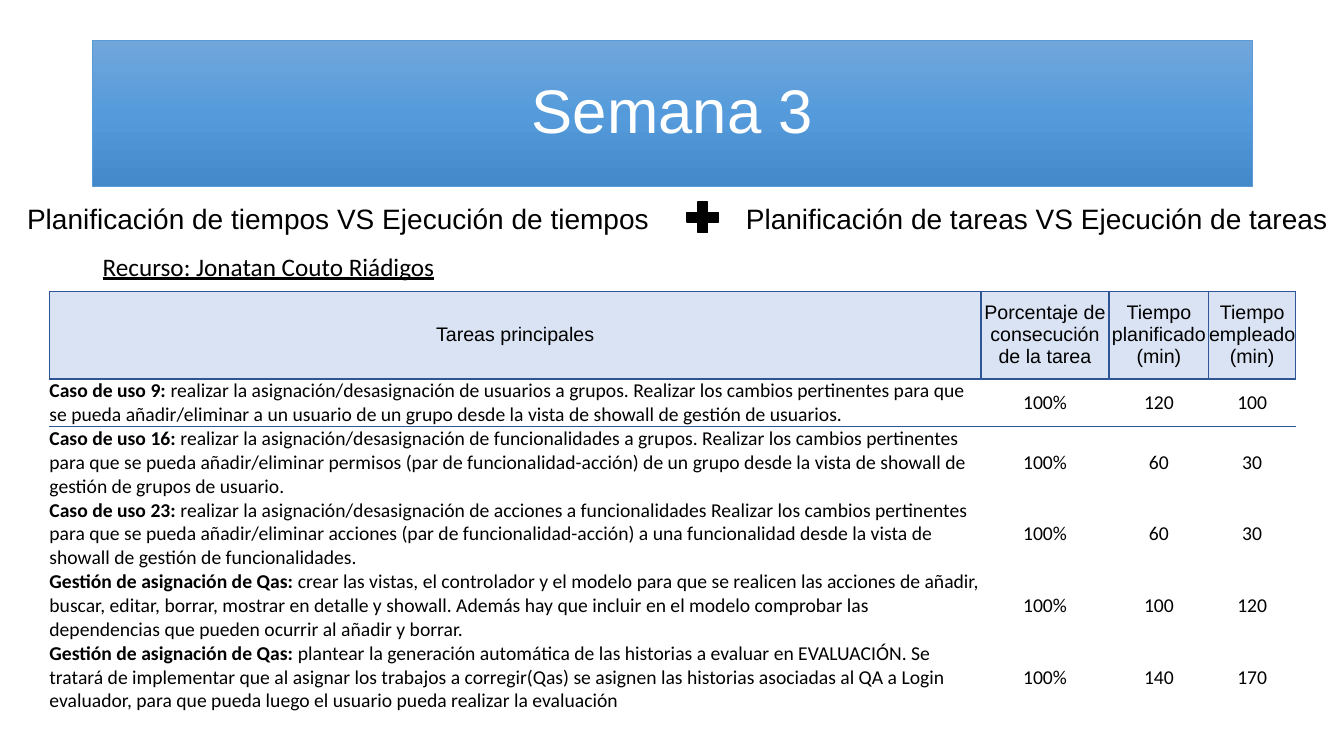
"""Build the week 3 slide comparing planned and actual times and tasks."""
from copy import deepcopy
from dataclasses import dataclass

from lxml import etree
from pptx import Presentation
from pptx.dml.color import RGBColor
from pptx.enum.shapes import MSO_SHAPE
from pptx.enum.text import MSO_ANCHOR, MSO_AUTO_SIZE, PP_ALIGN
from pptx.oxml.ns import qn
from pptx.util import Inches, Pt

PLUS = MSO_SHAPE.MATH_PLUS
MIDDLE = MSO_ANCHOR.MIDDLE
FIT, FIXED = MSO_AUTO_SIZE.SHAPE_TO_FIT_TEXT, MSO_AUTO_SIZE.NONE
LEFT, CENTER = PP_ALIGN.LEFT, PP_ALIGN.CENTER
BLACK, WHITE, NAVY, PALE, BLUE = "000000", "FFFFFF", "2F5597", "DAE3F3", "5B9BD5"
FADE = [(0, "71A6DB"), (0.5, "559BDB"), (1, "448ACA")]
NO_STYLE = "{2D5ABB26-0587-4C30-8999-92F81FD0307C}"
WIDTHS = [9.24, 1.27, 0.99, 0.86]
HEIGHTS = [0.87, 0.46] + [0.71] * 4
HEADS = ["Tareas principales", "Porcentaje de consecución de la tarea",
         "Tiempo planificado (min)", "Tiempo empleado (min)"]


@dataclass
class Label:
    """A line of text and its box in inches."""
    text: str
    left: float
    top: float
    width: float
    height: float
    size: float
    font: str
    under: bool = False


@dataclass
class Task:
    """A task with its planned and spent minutes."""
    lead: str
    text: str
    plan: int
    spent: int
    done: str = "100%"


LABELS = [
    Label("Recurso: Jonatan Couto Riádigos", 0.92, 2.44, 3.67, 0.4, 18, "Calibri", True),
    Label("Planificación de tareas VS Ejecución de tareas", 7.3, 1.95, 6.04, 0.44, 20, "Arial"),
    Label("Planificación de tiempos VS Ejecución de tiempos", 0.17, 1.95, 6.47, 0.44, 20, "Arial"),
]
TASKS = [
    Task("Caso de uso 9: ", "realizar la asignación/desasignación de usuarios a grupos. "
         "Realizar los cambios pertinentes para que se pueda añadir/eliminar a un usuario "
         "de un grupo desde la vista de showall de gestión de usuarios.", 120, 100),
    Task("Caso de uso 16: ", "realizar la asignación/desasignación de funcionalidades a "
         "grupos. Realizar los cambios pertinentes para que se pueda añadir/eliminar "
         "permisos (par de funcionalidad-acción) de un grupo desde la vista de showall de "
         "gestión de grupos de usuario.", 60, 30),
    Task("Caso de uso 23: ", "realizar la asignación/desasignación de acciones a "
         "funcionalidades Realizar los cambios pertinentes para que se pueda "
         "añadir/eliminar acciones (par de funcionalidad-acción) a una funcionalidad desde "
         "la vista de showall de gestión de funcionalidades.", 60, 30),
    Task("Gestión de asignación de Qas: ", "crear las vistas, el controlador y el modelo "
         "para que se realicen las acciones de añadir, buscar, editar, borrar, mostrar en "
         "detalle y showall. Además hay que incluir en el modelo comprobar las "
         "dependencias que pueden ocurrir al añadir y borrar.", 100, 120),
    Task("Gestión de asignación de Qas:", " plantear la generación automática de las "
         "historias a evaluar en EVALUACIÓN. Se tratará de implementar que al asignar los "
         "trabajos a corregir(Qas) se asignen las historias asociadas al QA a Login "
         "evaluador, para que pueda luego el usuario pueda realizar la evaluación", 140, 170),
]


def paint(code: str) -> RGBColor:
    """Turn a hex string into a colour."""
    return RGBColor.from_string(code)


def write(frame, text: str, size: float = 14, font: str = "Calibri", color: str = BLACK,
          bold: bool = False, under: bool = False, align=LEFT) -> None:
    """Add a formatted run to the first paragraph of a frame."""
    par = frame.paragraphs[0]
    par.alignment = align
    run = par.add_run()
    run.text = text
    face = run.font
    face.name, face.size, face.bold, face.underline = font, Pt(size), bold, under
    face.color.rgb = paint(color)


def place(shape, left: float, top: float, width: float, height: float) -> None:
    """Move and size a shape in inches."""
    shape.left, shape.top = Inches(left), Inches(top)
    shape.width, shape.height = Inches(width), Inches(height)


def add_title(slide) -> None:
    """Format the title as a banner with a gradient."""
    box = slide.shapes.title
    place(box, 0.92, 0.4, 11.5, 1.45)
    box.fill.gradient()
    box.fill.gradient_angle = 270
    first = box.element.find(".//" + qn("a:gs"))
    first.addnext(deepcopy(first))
    for stop, (pos, code) in zip(box.fill.gradient_stops, FADE):
        stop.position = pos
        stop.color.rgb = paint(code)
    box.line.color.rgb = paint(BLUE)
    box.line.width = Pt(0.5)
    frame = box.text_frame
    frame.auto_size, frame.vertical_anchor = FIXED, MIDDLE
    write(frame, "Semana 3", size=44, font="Arial", color=WHITE, align=CENTER)
    frame.paragraphs[0].line_spacing = 0.9


def add_label(slide, item: Label) -> None:
    """Draw a text label."""
    box = slide.shapes.add_textbox(0, 0, 0, 0)
    frame = box.text_frame
    frame.word_wrap, frame.auto_size = True, FIT
    place(box, item.left, item.top, item.width, item.height)
    write(frame, item.text, size=item.size, font=item.font, under=item.under)


def add_plus(slide) -> None:
    """Draw the plus sign between the two headings."""
    plus = slide.shapes.add_shape(PLUS, 0, 0, 0, 0)
    place(plus, 6.76, 1.95, 0.42, 0.41)
    plus.shadow.inherit = False
    plus.fill.solid()
    plus.fill.fore_color.rgb = paint(BLACK)
    plus.line.color.rgb = paint(BLACK)
    plus.line.width = Pt(1)


def edge(cell, sides: str) -> None:
    """Give a cell solid borders on the given sides."""
    props = cell._tc.get_or_add_tcPr()
    for side in sides:
        line = etree.SubElement(props, qn("a:ln" + side), w=str(Pt(1)))
        fill = etree.SubElement(line, qn("a:solidFill"))
        etree.SubElement(fill, qn("a:srgbClr"), val=NAVY)


def reset(cell):
    """Clear the margins of a cell and return its text frame."""
    cell.margin_left = cell.margin_right = cell.margin_top = cell.margin_bottom = 0
    cell.vertical_anchor = MIDDLE
    return cell.text_frame


def add_grid(slide) -> None:
    """Draw the table of tasks."""
    shape = slide.shapes.add_table(len(HEIGHTS), len(WIDTHS), Inches(0.49), Inches(2.89),
                                   Inches(sum(WIDTHS)), Inches(sum(HEIGHTS)))
    grid = shape.table
    grid.first_row = grid.horz_banding = False
    shape.element.find(".//" + qn("a:tableStyleId")).text = NO_STYLE
    for col, width in zip(grid.columns, WIDTHS):
        col.width = Inches(width)
    for row, height in zip(grid.rows, HEIGHTS):
        row.height = Inches(height)
    for col, head in enumerate(HEADS):
        cell = grid.cell(0, col)
        write(reset(cell), head, font="Arial", align=CENTER)
        edge(cell, "LRTB")
        cell.fill.solid()
        cell.fill.fore_color.rgb = paint(PALE)
        edge(grid.cell(1, col), "T")
    for row, task in enumerate(TASKS, 1):
        frame = reset(grid.cell(row, 0))
        write(frame, task.lead, bold=True)
        write(frame, task.text)
        for col, value in enumerate([task.done, task.plan, task.spent], 1):
            write(reset(grid.cell(row, col)), str(value), align=CENTER)
        for col in range(len(WIDTHS)):
            grid.cell(row, col).fill.background()


def main() -> None:
    """Build and save the slide."""
    deck = Presentation()
    deck.slide_width, deck.slide_height = Inches(13.33), Inches(7.5)
    slide = deck.slides.add_slide(deck.slide_layouts[5])
    add_title(slide)
    add_grid(slide)
    for item in LABELS:
        add_label(slide, item)
    add_plus(slide)
    deck.save("out.pptx")


if __name__ == "__main__":
    main()
